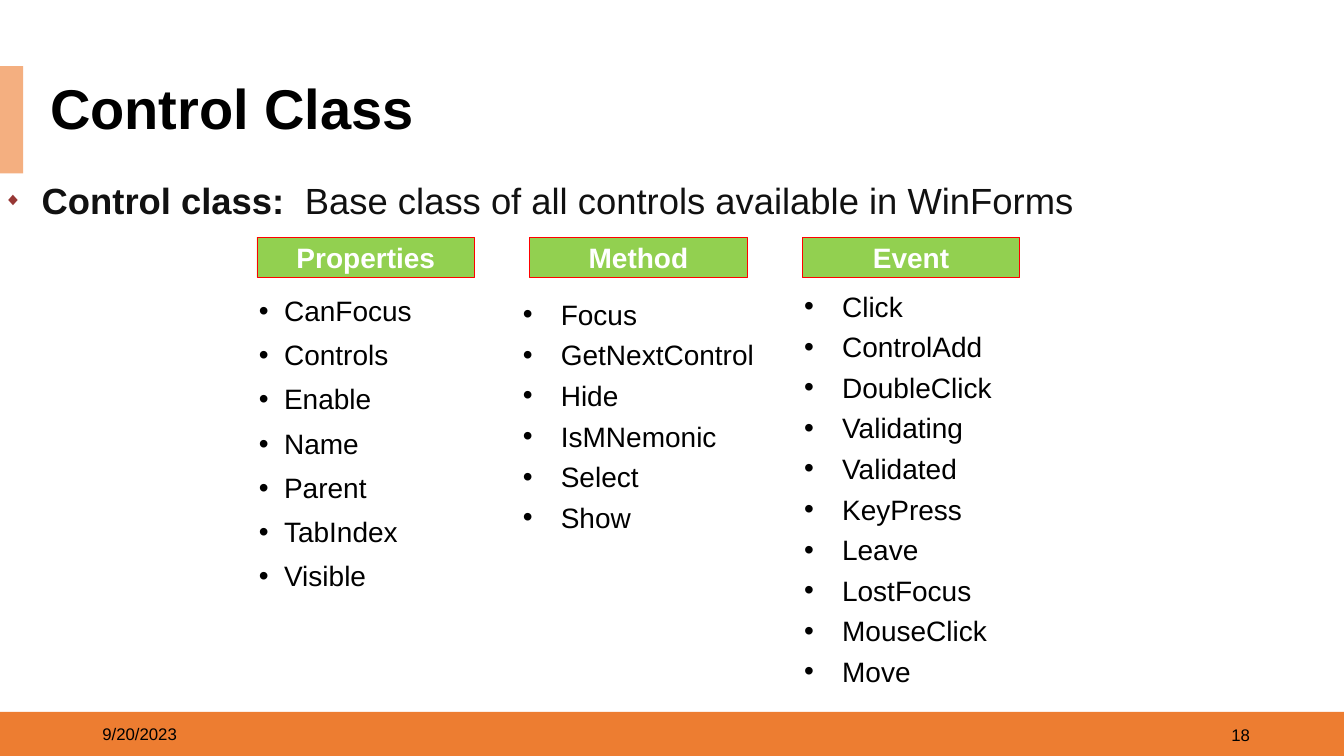
from lxml.etree import SubElement
from pptx import Presentation
from pptx.dml.color import RGBColor as Rgb
from pptx.enum.shapes import MSO_SHAPE as Shape
from pptx.enum.text import MSO_ANCHOR as Anchor, PP_ALIGN as Align
from pptx.oxml.ns import qn
from pptx.util import Pt

COLORS = {
    "bar": "ED7D31", "accent": "F4AF80", "header": "92D050", "border": "FF0000",
    "bullet": "973735", "text": "000000", "intro": "111111", "white": "FFFFFF",
}


class SlideBuilder:
    font = "Arial"

    def __init__(self, page):
        self.page = page

    def color(self, name):
        return Rgb.from_string(COLORS[name])

    def block(self, place, fill, border=None):
        box = self.page.shapes.add_shape(Shape.RECTANGLE, *map(Pt, place))
        box.shadow.inherit = False
        box.fill.solid()
        box.fill.fore_color.rgb = self.color(fill)
        if border:
            box.line.color.rgb = self.color(border)
            box.line.width = Pt(0.5)
        else:
            box.line.fill.background()
        return box

    def text_box(self, place):
        return self.page.shapes.add_textbox(*map(Pt, place))

    def add_text(self, box, lines, size, color="text", anchor=Anchor.TOP,
                 bullet=None, **para_format):
        """Fill a box; each line is a list of (text, bold) spans."""
        frame = box.text_frame
        frame.word_wrap = True
        frame.vertical_anchor = anchor
        for index, spans in enumerate(lines):
            para = frame.paragraphs[0] if index == 0 else frame.add_paragraph()
            for name, value in para_format.items():
                if index or name != "space_before":
                    setattr(para, name, value)
            if bullet:
                self.bullet(para, **bullet)
            for text, bold in spans:
                span = para.add_run()
                span.text = text
                look = {"name": self.font, "size": Pt(size), "bold": bold}
                for name, value in look.items():
                    setattr(span.font, name, value)
                span.font.color.rgb = self.color(color)

    def bullet(self, para, indent, mark="•", color=None, percent=None):
        props = para._p.get_or_add_pPr()
        props.set("marL", str(Pt(indent)))
        props.set("indent", str(-Pt(indent)))
        if color:
            SubElement(SubElement(props, qn("a:buClr")), qn("a:srgbClr"), val=COLORS[color])
        if percent:
            SubElement(props, qn("a:buSzPct"), val=str(percent * 1000))
        SubElement(props, qn("a:buFont"), typeface=self.font)
        SubElement(props, qn("a:buChar"), char=mark)


def main():
    deck = Presentation()
    deck.slide_width, deck.slide_height = Pt(960), Pt(540)
    slide = SlideBuilder(deck.slides.add_slide(deck.slide_layouts[6]))

    slide.block((0, 508.6, 960, 31.4), "bar")
    slide.block((0, 47.3, 16.5, 76.5), "accent")
    for text, left, top, align in (("9/20/2023", 66, 510, Align.LEFT),
                                   ("18", 684, 510.5, Align.RIGHT)):
        slide.add_text(slide.text_box((left, top, 216, 28.8)), [[(text, False)]], 12,
                       anchor=Anchor.MIDDLE, alignment=align)

    title = slide.block((28.8, 56.9, 611.3, 45.4), "white")
    slide.add_text(title, [[("Control Class", True)]], 40, anchor=Anchor.MIDDLE,
                   alignment=Align.LEFT, line_spacing=0.9)

    loose = {"bullet": {"indent": 18}, "line_spacing": 0.9, "space_before": Pt(10)}
    tight = {"bullet": {"indent": 27}, "space_before": Pt(5)}
    columns = (
        ("Properties", (177.8, 208.8, 162, 220.3), loose,
         ("CanFocus", "Controls", "Enable", "Name", "Parent", "TabIndex", "Visible")),
        ("Method", (366.5, 208.8, 191.5, 177.1), tight,
         ("Focus", "GetNextControl", "Hide", "IsMNemonic", "Select", "Show")),
        ("Event", (567.4, 203, 191.5, 290.9), tight,
         ("Click", "ControlAdd", "DoubleClick", "Validating", "Validated",
          "KeyPress", "Leave", "LostFocus", "MouseClick", "Move")),
    )
    for index, (heading, place, layout, members) in enumerate(columns):
        slide.add_text(slide.text_box(place), [[(name, False)] for name in members],
                       20, **layout)
        header = slide.block((183.6 + 194.7 * index, 169.4, 155.5, 28.8),
                             "header", "border")
        slide.add_text(header, [[(heading, True)]], 20, "white", Anchor.MIDDLE,
                       alignment=Align.CENTER)

    intro = [("Control class: ", True),
             (" Base class of all controls available in WinForms", False)]
    slide.add_text(slide.text_box((-4.3, 108, 787, 49)), [intro], 26, "intro",
                   bullet={"indent": 27, "mark": "◆", "color": "bullet", "percent": 50},
                   alignment=Align.JUSTIFY, line_spacing=1.5, space_after=Pt(6))

    deck.save("out.pptx")


if __name__ == "__main__":
    main()
